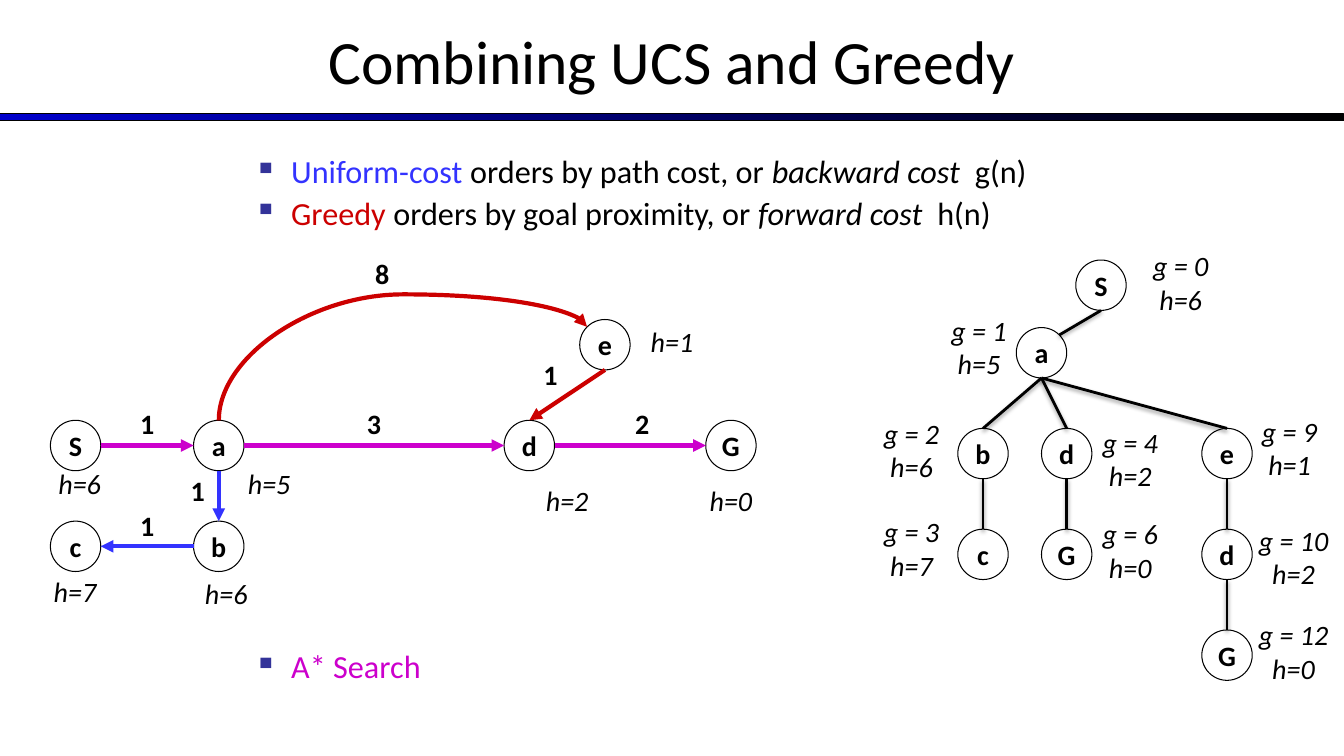
import lxml.etree
import pptx
import pptx.dml.color
import pptx.enum.shapes
import pptx.enum.text
import pptx.oxml.ns
import pptx.util

Inches = pptx.util.Inches
Pt = pptx.util.Pt
qn = pptx.oxml.ns.qn

BLACK, BLUE, RED, MAGENTA = "000000", "3333FF", "CC0000", "CC00CC"
NODE_SIZE = 0.5
TOP, BOTTOM, LEFT, RIGHT = (0, -1), (0, 1), (-1, 0), (1, 0)
TOP_LEFT, TOP_RIGHT = (-0.71, -0.71), (0.71, -0.71)


def color(value):
    return pptx.dml.color.RGBColor.from_string(value)


def add_xml(parent, tag, **attributes):
    return lxml.etree.SubElement(parent, qn(tag), attributes)


def site(node, direction):
    """Point on the rim of a node given by its top left corner."""
    return tuple(corner + NODE_SIZE / 2 * (1 + step)
                 for corner, step in zip(node, direction))


class SlideBuilder:
    font = "Calibri"

    def __init__(self, slide):
        self.slide = slide

    def add_run(self, paragraph, text, size, fill=BLACK, bold=False, italic=False):
        run = paragraph.add_run()
        run.text = text
        run.font.name = self.font
        run.font.size = Pt(size)
        run.font.bold = bold
        run.font.italic = italic
        run.font.color.rgb = color(fill)

    def text_frame(self, left, top, width, height):
        box = self.slide.shapes.add_textbox(
            Inches(left), Inches(top), Inches(width), Inches(height))
        box.text_frame.word_wrap = True
        return box.text_frame

    def label(self, text, left, top, width, height=0.43, size=20, **style):
        frame = self.text_frame(left, top, width, height)
        frame.vertical_anchor = pptx.enum.text.MSO_ANCHOR.TOP
        paragraph = frame.paragraphs[0]
        paragraph.alignment = pptx.enum.text.PP_ALIGN.CENTER
        self.add_run(paragraph, text, size, **style)
        return frame

    def bullets(self, left, top, width, height, items):
        frame = self.text_frame(left, top, width, height)
        for index, runs in enumerate(items):
            paragraph = frame.add_paragraph() if index else frame.paragraphs[0]
            properties = paragraph._p.get_or_add_pPr()
            properties.set("marL", str(Inches(0.37)))
            properties.set("indent", str(-Inches(0.37)))
            bullet_color = add_xml(properties, "a:buClr")
            add_xml(bullet_color, "a:srgbClr", val="333399")
            add_xml(properties, "a:buChar", char="▪")
            paragraph.line_spacing = 0.9
            if index:
                paragraph.space_before = Pt(4.6)
            for text, style in runs:
                self.add_run(paragraph, text, 23, **style)

    def rule(self, left, top, width, height):
        shape = self.slide.shapes.add_shape(
            pptx.enum.shapes.MSO_SHAPE.RECTANGLE,
            Inches(left), Inches(top), Inches(width), Inches(height))
        shape.shadow.inherit = False
        shape.fill.gradient()
        shape.fill.gradient_angle = 0
        for stop, value in zip(shape.fill.gradient_stops, ("0000CC", BLACK)):
            stop.color.rgb = color(value)
        shape.line.color.rgb = color(BLACK)
        shape.line.width = Pt(0.75)

    def node(self, text, left, top):
        shape = self.slide.shapes.add_shape(
            pptx.enum.shapes.MSO_SHAPE.OVAL,
            Inches(left), Inches(top), Inches(NODE_SIZE), Inches(NODE_SIZE))
        shape.shadow.inherit = False
        shape.fill.solid()
        shape.fill.fore_color.rgb = color("FFFFFF")
        shape.line.color.rgb = color(BLACK)
        shape.line.width = Pt(0.75)
        frame = shape.text_frame
        frame.word_wrap = False
        frame.vertical_anchor = pptx.enum.text.MSO_ANCHOR.MIDDLE
        frame.paragraphs[0].alignment = pptx.enum.text.PP_ALIGN.CENTER
        self.add_run(frame.paragraphs[0], text, 20, bold=True)

    def style_line(self, shape, stroke, width, arrow):
        shape.line.color.rgb = color(stroke)
        shape.line.width = Pt(width)
        if arrow:
            line = shape._element.spPr.find(qn("a:ln"))
            add_xml(line, "a:tailEnd", type="triangle")

    def line(self, start, end, stroke=BLACK, width=3, arrow=True, shadow=False):
        connector = self.slide.shapes.add_connector(
            pptx.enum.shapes.MSO_CONNECTOR.STRAIGHT,
            *(Inches(value) for value in start + end))
        self.style_line(connector, stroke, width, arrow)
        effects = add_xml(connector._element.spPr, "a:effectLst")
        if shadow:
            outer = add_xml(effects, "a:outerShdw", blurRad=str(Pt(3.1)),
                            dist=str(Pt(1.6)), dir="5400000", rotWithShape="0")
            shade = add_xml(outer, "a:srgbClr", val=BLACK)
            add_xml(shade, "a:alpha", val="38000")

    def curved_arrow(self, start, segments, stroke, width=3):
        """Each segment holds two control points and an end point."""
        builder = self.slide.shapes.build_freeform(*map(Inches, start))
        builder.add_line_segments(
            [tuple(map(Inches, segment[-1])) for segment in segments], close=False)
        shape = builder.convert_to_shape()
        shape.shadow.inherit = False
        shape.fill.background()
        self.style_line(shape, stroke, width, arrow=True)
        pieces = list(shape._element.iter(qn("a:lnTo")))
        for piece, segment in zip(pieces, segments):
            curve = add_xml(piece.getparent(), "a:cubicBezTo")
            for x, y in segment:
                add_xml(curve, "a:pt", x=str(Inches(x) - shape.left),
                        y=str(Inches(y) - shape.top))
            piece.getparent().remove(piece)


def main():
    presentation = pptx.Presentation()
    presentation.slide_width = Inches(13.33)
    presentation.slide_height = Inches(7.5)
    builder = SlideBuilder(presentation.slides.add_slide(presentation.slide_layouts[6]))

    # Title and bullets
    builder.rule(0, 1.13, 13.33, 0.07)
    title = builder.label("Combining UCS and Greedy", 0, -0.03, 13.33, 1.25, size=44)
    title.vertical_anchor = pptx.enum.text.MSO_ANCHOR.MIDDLE
    italic = {"italic": True}
    builder.bullets(2.42, 1.5, 9, 0.95, [
        [("Uniform-cost ", {"fill": BLUE}), ("orders by path cost, or ", {}),
         ("backward cost  ", italic), ("g(n)", {})],
        [("Greedy ", {"fill": RED}), ("orders by goal proximity, or ", {}),
         ("forward cost  ", italic), ("h(n)", {})],
    ])
    builder.bullets(2.42, 6.41, 9, 0.5, [[("A* Search", {"fill": MAGENTA})]])

    # State graph: nodes, heuristics and step costs
    graph = {"S": (0.5, 4.17), "a": (1.92, 4.17), "d": (5, 4.17), "G": (7, 4.17),
             "e": (5.75, 3.17), "c": (0.5, 5.17), "b": (1.92, 5.17)}
    for name, corner in graph.items():
        builder.node(name, *corner)
    for text, left, top, width in [
            ("h=6", 0.33, 4.58, 0.92), ("h=5", 2.17, 4.58, 1), ("h=2", 5.25, 4.75, 0.75),
            ("h=0", 6.75, 4.75, 1), ("h=1", 6.25, 3.17, 0.83),
            ("h=7", 0.33, 5.65, 0.83), ("h=6", 1.83, 5.67, 0.83)]:
        builder.label(text, left, top, width, italic=True)
    for text, left, top in [("1", 1.17, 3.98), ("3", 3.42, 3.98), ("2", 6.08, 3.98),
                            ("8", 3.5, 2.5), ("1", 5.17, 3.5), ("1", 1.67, 4.65),
                            ("1", 1.17, 5)]:
        builder.label(text, left, top, 0.58, bold=True)

    # State graph: arrows
    for source, leave, target, enter, stroke in [
            ("a", BOTTOM, "b", TOP, BLUE), ("b", LEFT, "c", RIGHT, BLUE),
            ("e", BOTTOM, "d", TOP, RED), ("d", RIGHT, "G", LEFT, MAGENTA),
            ("S", RIGHT, "a", LEFT, MAGENTA), ("a", RIGHT, "d", LEFT, MAGENTA)]:
        builder.line(site(graph[source], leave), site(graph[target], enter), stroke)
    builder.curved_arrow(site(graph["a"], TOP), [
        [(2.17, 3.54), (3.08, 2.92), (4, 2.92)],
        [(4.91, 2.92), (5.82, 3.08), site(graph["e"], TOP_LEFT)],
    ], RED)

    # Search tree: nodes by route from the start
    tree = {"S": (10.67, 2.58), "Sa": (10.08, 3.25), "Sab": (9.5, 4.25),
            "Sad": (10.33, 4.25), "Sae": (11.92, 4.25), "Sabc": (9.5, 5.25),
            "SadG": (10.33, 5.25), "Saed": (11.92, 5.25), "SaedG": (11.92, 6.25)}
    for route, corner in tree.items():
        builder.node(route[-1], *corner)
    for route in list(tree)[1:]:
        enter = TOP_RIGHT if route == "Sa" else TOP
        builder.line(site(tree[route[:-1]], BOTTOM), site(tree[route], enter),
                     width=2, arrow=False, shadow=True)

    # Search tree: costs
    for g, h, left, top in [
            (0, 6, 11.25, 2.42), (1, 5, 9.25, 3.06), (2, 6, 8.58, 4.08),
            (3, 7, 8.58, 5.06), (4, 2, 10.75, 4.17), (6, 0, 10.75, 5.08),
            (9, 1, 12.33, 4.06), (10, 2, 12.33, 5.14), (12, 0, 12.33, 6.08)]:
        width = 1 if g > 9 else 0.92
        builder.label(f"g = {g} h={h}", left, top, width, 1.1, italic=True)

    presentation.save("out.pptx")


if __name__ == "__main__":
    main()
